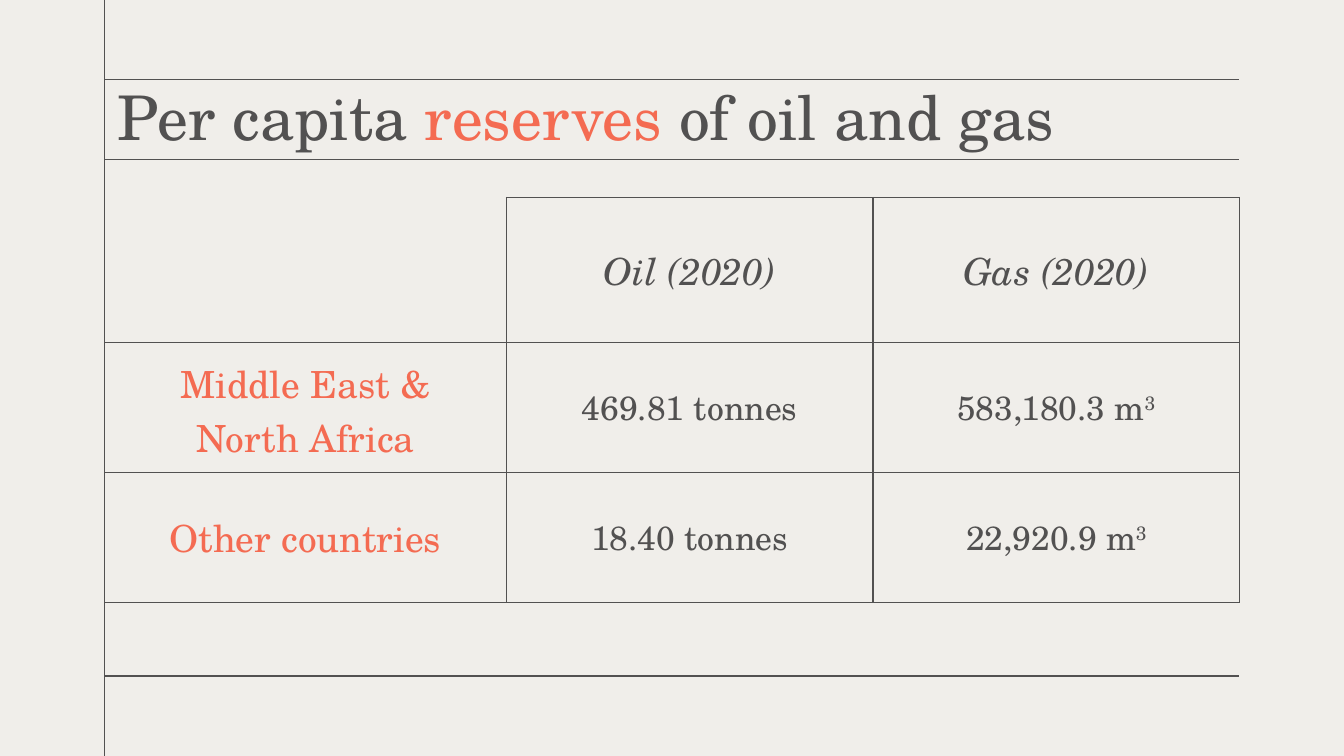
from pptx import Presentation, util as u
from pptx.dml.color import RGBColor
from pptx.enum import text
from pptx.oxml.ns import qn
from lxml import etree

# Content: a paragraph is a list of (words, style) runs
TITLE = [("Per capita ", "title"), ("reserves ", "title_accent"),
         ("of oil and gas", "title")]
HEADERS = ["Oil (2020)", "Gas (2020)"]
ROWS = [
    (["Middle East &", "North Africa"], "469.81 tonnes", "583,180.3 m"),
    (["Other countries"], "18.40 tonnes", "22,920.9 m"),
]

THEME = dict(bg="F0EEEA", ink="525151", accent="F46B52",
             font="TeX Gyre Schola", line=0.75)
STYLES = {
    "title": dict(size=33, color="ink"),
    "title_accent": dict(size=33, color="accent"),
    "header": dict(size=20, color="ink", italic=True),
    "label": dict(size=20, color="accent"),
    "value": dict(size=18, color="ink"),
    "power": dict(size=18, color="ink", raised=True),
}

# Layout in centimetres
WIDTH, HEIGHT = 25.4, 14.29
LEFT, RIGHT = 1.98, 23.42
TITLE_TOP, TITLE_BOTTOM, FOOT = 1.5, 3.02, 12.78
TABLE_TOP = 3.73
COLS = [7.59, 6.93, 6.93]
ROW_HEIGHTS = [2.74, 2.46, 2.46]


def rgb(name):
    return RGBColor.from_string(THEME[name])


def add_run(p, words, size, color, italic=False, raised=False):
    r = p.add_run()
    r.text = words
    f = r.font
    f.name, f.size, f.italic = THEME["font"], u.Pt(size), italic
    f.color.rgb = rgb(color)
    if raised:
        r._r.get_or_add_rPr().set("baseline", "30000")


def write(tf, paragraphs, align=text.PP_ALIGN.LEFT):
    for i, runs in enumerate(paragraphs):
        p = tf.add_paragraph() if i else tf.paragraphs[0]
        p.alignment = align
        for words, style in runs:
            add_run(p, words, **STYLES[style])


def add_rule(s, x1, y1, x2, y2):
    c = s.shapes.add_connector(1, u.Cm(x1), u.Cm(y1), u.Cm(x2), u.Cm(y2))
    c.line.color.rgb = rgb("ink")
    c.line.width = u.Pt(THEME["line"])
    etree.SubElement(c._element.spPr, qn("a:effectLst"))


def set_borders(cell, sides):
    tc_pr = cell._tc.get_or_add_tcPr()
    for side in "LRTB":
        ln = etree.SubElement(tc_pr, qn("a:ln" + side),
                              w=str(u.Pt(THEME["line"])))
        if side in sides:
            fill = etree.SubElement(ln, qn("a:solidFill"))
            etree.SubElement(fill, qn("a:srgbClr"), val=THEME["ink"])
        else:
            etree.SubElement(ln, qn("a:noFill"))


def add_table(s):
    # Each cell is a list of paragraphs
    grid = [[[]] + [[[(h, "header")]] for h in HEADERS]]
    for names, oil, gas in ROWS:
        grid.append([[[(n, "label")] for n in names],
                     [[(oil, "value")]],
                     [[(gas, "value"), ("3", "power")]]])

    table = s.shapes.add_table(
        len(grid), len(COLS), u.Cm(LEFT), u.Cm(TABLE_TOP),
        u.Cm(sum(COLS)), u.Cm(sum(ROW_HEIGHTS))).table
    table.first_row = table.horz_banding = False
    for col, w in zip(table.columns, COLS):
        col.width = u.Cm(w)
    for row, h in zip(table.rows, ROW_HEIGHTS):
        row.height = u.Cm(h)

    for i, cells in enumerate(grid):
        for j, paragraphs in enumerate(cells):
            cell = table.cell(i, j)
            set_borders(cell, "LRTB" if i or j else "RB")
            cell.fill.background()
            cell.vertical_anchor = text.MSO_ANCHOR.MIDDLE
            cell.margin_left = cell.margin_right = u.Cm(0.25)
            cell.margin_top = cell.margin_bottom = u.Cm(0.25 if i else 0.18)
            write(cell.text_frame, paragraphs, text.PP_ALIGN.CENTER)


def main():
    prs = Presentation()
    prs.slide_width, prs.slide_height = u.Cm(WIDTH), u.Cm(HEIGHT)
    s = prs.slides.add_slide(prs.slide_layouts[6])
    s.background.fill.solid()
    s.background.fill.fore_color.rgb = rgb("bg")

    # Frame rules
    add_rule(s, LEFT, 0, LEFT, HEIGHT)
    for y in (TITLE_TOP, TITLE_BOTTOM, FOOT):
        add_rule(s, LEFT, y, RIGHT, y)

    # Title
    box = s.shapes.add_textbox(u.Cm(LEFT), u.Cm(TITLE_TOP),
                               u.Cm(RIGHT - LEFT), u.Cm(1.35))
    tf = box.text_frame
    tf.word_wrap = True
    tf.vertical_anchor = text.MSO_ANCHOR.TOP
    tf.margin_left = tf.margin_right = tf.margin_bottom = u.Cm(0.25)
    tf.margin_top = 0
    write(tf, [TITLE])

    # Reserves table
    add_table(s)
    prs.save("out.pptx")


if __name__ == "__main__":
    main()
